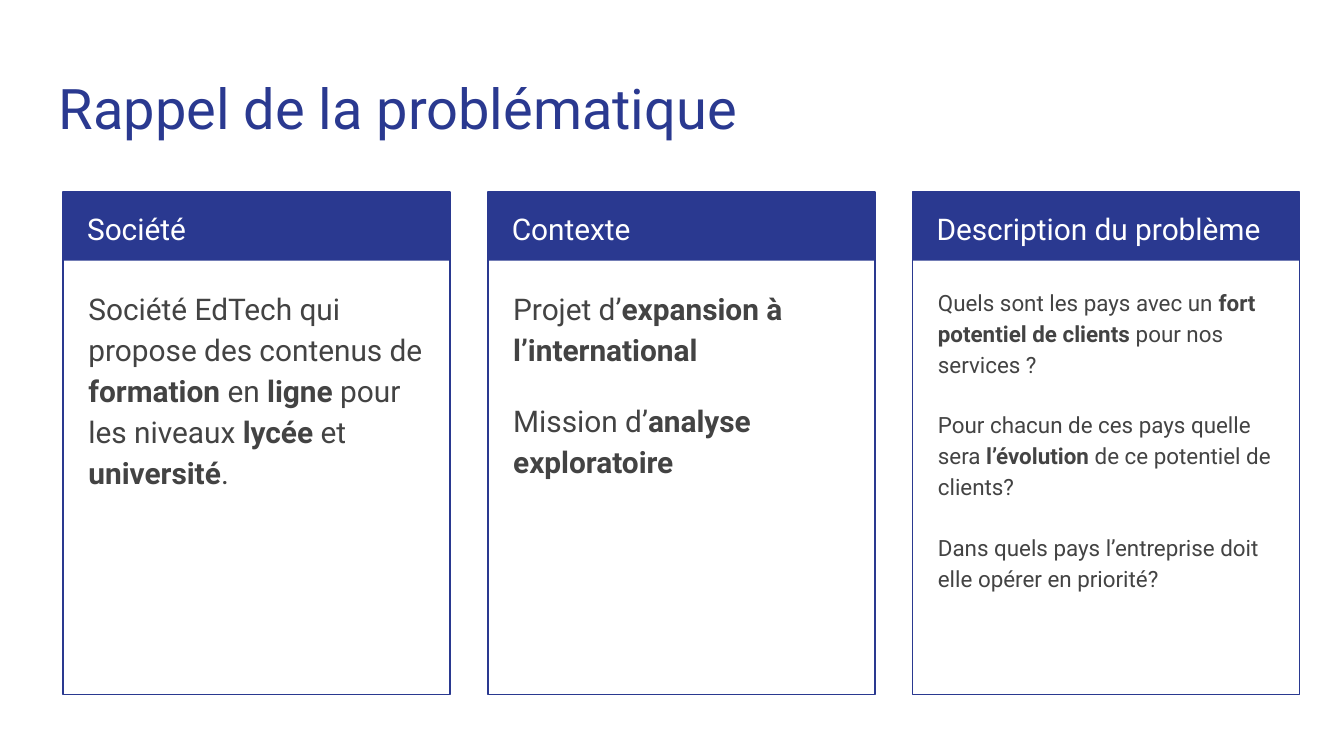
import pptx
import pptx.util
import pptx.dml.color
import pptx.enum.shapes
import pptx.enum.text

Inches = pptx.util.Inches
Pt = pptx.util.Pt
COLORS = {"blue": "2A3990", "white": "FFFFFF", "gray": "434343"}
MARGINS = {f"margin_{side}": Inches(0.1) for side in ("left", "right", "top", "bottom")}
FRAME_FORMAT = {
    **MARGINS,
    "word_wrap": True,
    "vertical_anchor": pptx.enum.text.MSO_ANCHOR.TOP,
}
FIRST_LEFT = 0.47
COLUMN_STEP = 3.16
CARD_TOP = 1.43
CARD_WIDTH = 2.88

columns = [
    ("Société", 16, [
        "Société EdTech qui propose des contenus de *formation *en *ligne *pour "
        "les niveaux *lycée *et *université*.",
    ]),
    ("Contexte", 16, [
        "Projet d’*expansion à l’international*",
        "Mission d’*analyse exploratoire*",
    ]),
    ("Description du problème", 12, [
        "Quels sont les pays avec un *fort potentiel de clients* pour nos services ?",
        "Pour chacun de ces pays quelle sera *l’évolution *de ce potentiel de clients?",
        "Dans quels pays l’entreprise doit elle opérer en priorité?",
    ]),
]


def color(name):
    return pptx.dml.color.RGBColor.from_string(COLORS[name])


def add_text(slide, box, texts, size, color_name, line_spacing=1.15):
    frame = slide.shapes.add_textbox(*map(Inches, box)).text_frame
    for name, value in FRAME_FORMAT.items():
        setattr(frame, name, value)
    for index, text in enumerate(texts):
        paragraph = frame.add_paragraph() if index else frame.paragraphs[0]
        paragraph_format = {
            "line_spacing": line_spacing,
            "space_before": Pt(16 if index else 0),
            "space_after": Pt(0),
        }
        for name, value in paragraph_format.items():
            setattr(paragraph, name, value)
        for position, part in enumerate(text.split("*")):
            if part:
                run = paragraph.add_run()
                run.text = part
                font_format = {"name": "Roboto", "size": Pt(size), "bold": position % 2 == 1}
                for name, value in font_format.items():
                    setattr(run.font, name, value)
                run.font.color.rgb = color(color_name)


presentation = pptx.Presentation()
presentation.slide_width = Inches(10)
presentation.slide_height = Inches(10 * 9 / 16)
slide = presentation.slides.add_slide(presentation.slide_layouts[6])

add_text(slide, (0.34, 0.45, 9.32, 0.66), ["Rappel de la problématique"], 30, "blue", 1.0)

for index, (heading, body_size, body) in enumerate(columns):
    left = FIRST_LEFT + index * COLUMN_STEP
    for height, filled in ((0.51, True), (3.74, False)):
        shape = slide.shapes.add_shape(
            pptx.enum.shapes.MSO_SHAPE.RECTANGLE,
            Inches(left), Inches(CARD_TOP), Inches(CARD_WIDTH), Inches(height),
        )
        shape.shadow.inherit = False
        if filled:
            shape.fill.solid()
            shape.fill.fore_color.rgb = color("blue")
            shape.line.fill.background()
        else:
            shape.fill.background()
            shape.line.color.rgb = color("blue")
            shape.line.width = Pt(0.75)
    add_text(slide, (left + 0.08, CARD_TOP, 2.73, 0.5), [heading], 16, "white")
    add_text(slide, (left + 0.09, 2.02, 2.71, 3.06), body, body_size, "gray")

presentation.save("out.pptx")
